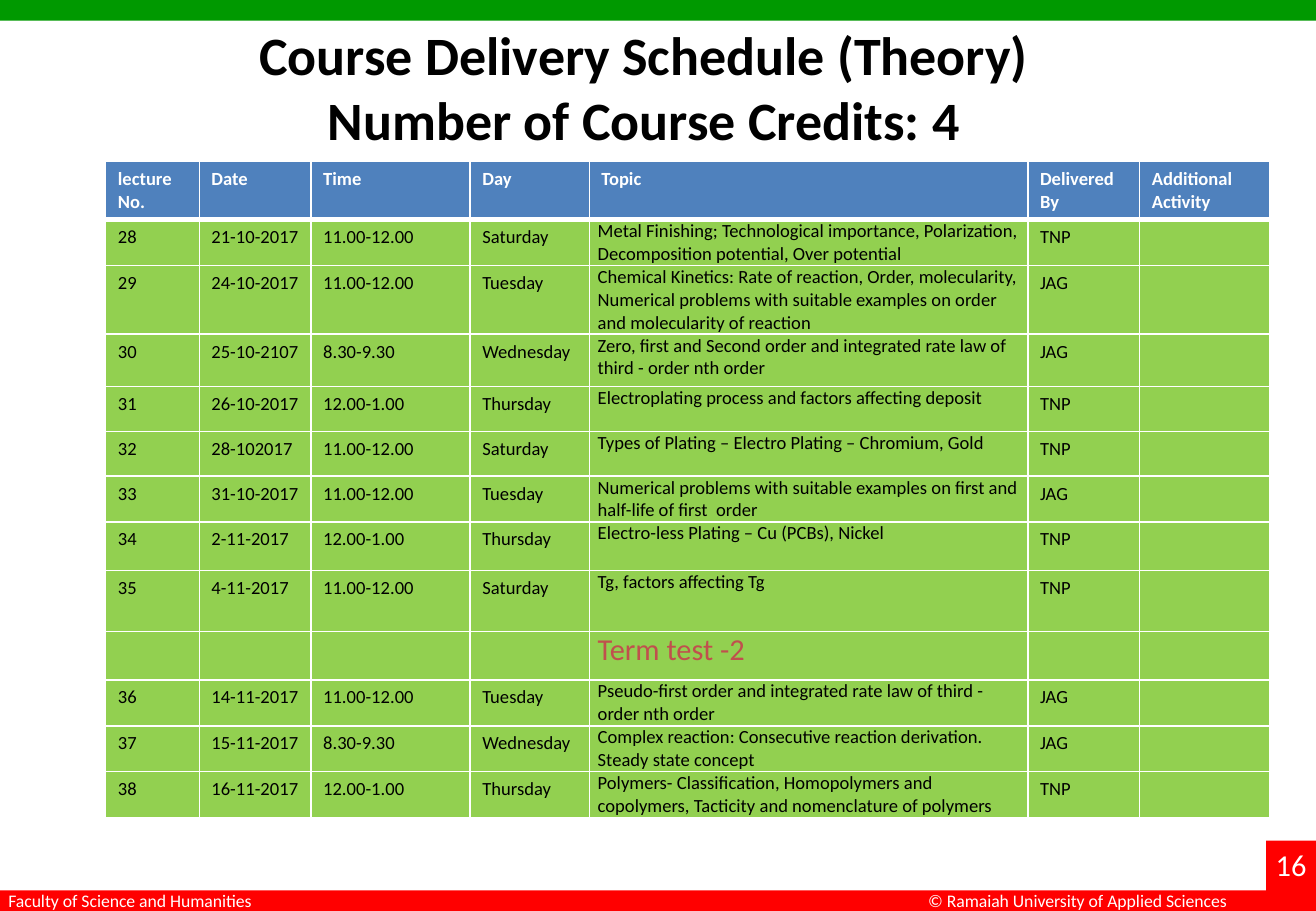
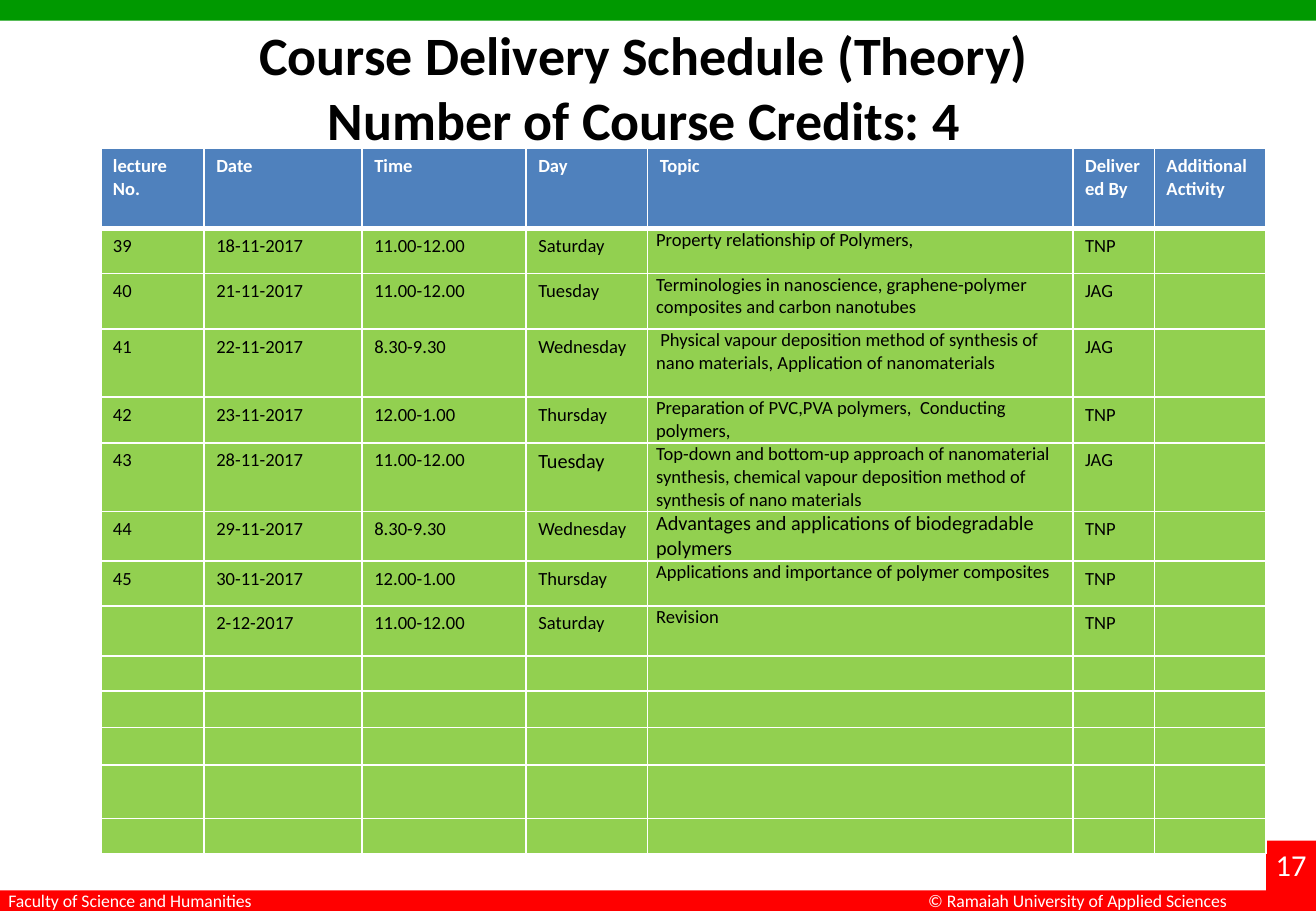
from lxml.etree import SubElement
from pptx import Presentation
from pptx.dml.color import RGBColor
from pptx.enum.shapes import MSO_SHAPE as Preset
from pptx.enum.text import MSO_ANCHOR as Anchor, MSO_AUTO_SIZE as AutoSize, PP_ALIGN as Align
from pptx.oxml.ns import qn
from pptx.util import Inches, Pt

COLORS = {
    "top_band": "009900", "footer": "FF0000", "header": "4F81BD",
    "row": "92D050", "accent": "C0504D", "light": "FFFFFF", "dark": "000000",
}
FONT = "Calibri"
SLIDE_W, SLIDE_H, BAND_H = 10.83, 7.5, 0.17
TITLE = "Course Delivery Schedule (Theory)\nNumber of Course Credits: 4"
TITLE_BOX = (1.64, 0.12, 7.32, 1.18)
HEADINGS = ("lecture No.", "Date", "Time", "Day", "Topic", "Delivered By", "Additional Activity")
TOPIC = HEADINGS.index("Topic")
TOPIC_MARGINS = {
    "margin_left": Inches(0.07), "margin_right": Inches(0.07),
    "margin_top": 0, "margin_bottom": 0,
}

SCHEDULES = [
    {
        "page": "16",
        "origin": (0.87, 1.33),
        "columns": (0.77, 0.92, 1.31, 0.98, 3.61, 0.92, 1.07),
        "heights": (0.46, 0.37, 0.55, 0.43, 0.37, 0.37, 0.37, 0.4, 0.5, 0.4, 0.37, 0.37, 0.36),
        "lectures": [
            ("28", "21-10-2017", "11.00-12.00", "Saturday",
             "Metal Finishing; Technological importance, Polarization, "
             "Decomposition potential, Over potential", "TNP"),
            ("29", "24-10-2017", "11.00-12.00", "Tuesday",
             "Chemical Kinetics: Rate of reaction, Order, molecularity, Numerical problems "
             "with suitable examples on order and molecularity of reaction", "JAG"),
            ("30", "25-10-2107", "8.30-9.30", "Wednesday",
             "Zero, first and Second order and integrated rate law of third - order nth order", "JAG"),
            ("31", "26-10-2017", "12.00-1.00", "Thursday",
             "Electroplating process and factors affecting deposit", "TNP"),
            ("32", "28-102017", "11.00-12.00", "Saturday",
             "Types of Plating – Electro Plating – Chromium, Gold", "TNP"),
            ("33", "31-10-2017", "11.00-12.00", "Tuesday",
             "Numerical problems with suitable examples on first and half-life of first  order", "JAG"),
            ("34", "2-11-2017", "12.00-1.00", "Thursday",
             "Electro-less Plating – Cu (PCBs), Nickel", "TNP"),
            ("35", "4-11-2017", "11.00-12.00", "Saturday", "Tg, factors affecting Tg", "TNP"),
            ("", "", "", "", "Term test -2", ""),
            ("36", "14-11-2017", "11.00-12.00", "Tuesday",
             "Pseudo-first order and integrated rate law of third - order nth order", "JAG"),
            ("37", "15-11-2017", "8.30-9.30", "Wednesday",
             "Complex reaction: Consecutive reaction derivation. Steady state concept", "JAG"),
            ("38", "16-11-2017", "12.00-1.00", "Thursday",
             "Polymers- Classification, Homopolymers and copolymers, "
             "Tacticity and nomenclature of polymers", "TNP"),
        ],
        "special": {(9, TOPIC): {"size": 18, "color": "accent"}},
    },
    {
        "page": "17",
        "origin": (0.83, 1.22),
        "columns": (0.85, 1.3, 1.35, 1, 3.5, 0.67, 0.92),
        "heights": (0.66, 0.37, 0.46, 0.56, 0.37, 0.55, 0.4, 0.37, 0.41, 0.29, 0.3, 0.31, 0.44, 0.29),
        "lectures": [
            ("39", "18-11-2017", "11.00-12.00", "Saturday", "Property relationship of Polymers,", "TNP"),
            ("40", "21-11-2017", "11.00-12.00", "Tuesday",
             "Terminologies in nanoscience, graphene-polymer composites and carbon nanotubes", "JAG"),
            ("41", "22-11-2017", "8.30-9.30", "Wednesday",
             " Physical vapour deposition method of synthesis of nano materials, "
             "Application of nanomaterials", "JAG"),
            ("42", "23-11-2017", "12.00-1.00", "Thursday",
             "Preparation of PVC,PVA polymers,  Conducting polymers,", "TNP"),
            ("43", "28-11-2017", "11.00-12.00", "Tuesday",
             "Top-down and bottom-up approach of nanomaterial synthesis, "
             "chemical vapour deposition method of synthesis of nano materials", "JAG"),
            ("44", "29-11-2017", "8.30-9.30", "Wednesday",
             "Advantages and applications of biodegradable polymers", "TNP"),
            ("45", "30-11-2017", "12.00-1.00", "Thursday",
             "Applications and importance of polymer composites", "TNP"),
            ("", "2-12-2017", "11.00-12.00", "Saturday", "Revision", "TNP"),
        ],
        "special": {(5, HEADINGS.index("Day")): {"size": 12}, (6, TOPIC): {"size": 12}},
    },
]


def set_all(target, values):
    """Set each named attribute of the target."""
    for name, value in values.items():
        setattr(target, name, value)


def rgb(color):
    """Return the colour with the given name."""
    return RGBColor.from_string(COLORS[color])


def write(frame, text, size, color, bold=False, align=Align.LEFT):
    """Fill a text frame with evenly formatted paragraphs."""
    frame.text = text
    for paragraph in frame.paragraphs:
        paragraph.alignment = align
        for run in paragraph.runs:
            set_all(run.font, {"name": FONT, "size": Pt(size), "bold": bold})
            run.font.color.rgb = rgb(color)
        if not paragraph.runs:
            SubElement(paragraph._p, qn("a:endParaRPr"), sz=str(size * 100))


def add_band(slide, box, color):
    """Add a plain filled rectangle."""
    band = slide.shapes.add_shape(Preset.RECTANGLE, *map(Inches, box))
    band.shadow.inherit = False
    band.fill.solid()
    band.fill.fore_color.rgb = rgb(color)
    band.line.fill.background()
    return band


def add_label(slide, box, text, size):
    """Add a white line of text."""
    label = slide.shapes.add_textbox(*map(Inches, box))
    label.text_frame.word_wrap = False
    write(label.text_frame, text, size, "light")
    return label


def add_shared_parts(slide, layout):
    """Put the bands and footer texts on the layout."""
    footer_top = SLIDE_H - BAND_H
    parts = [
        add_band(slide, (0, 0, SLIDE_W, BAND_H), "top_band"),
        add_band(slide, (0, footer_top, SLIDE_W, BAND_H), "footer"),
        add_band(slide, (10.42, 6.92, 0.42, 0.58), "footer"),
        add_label(slide, (7.54, 7.28, 2.7, 0.28), "© Ramaiah University of Applied Sciences", 10.5),
        add_label(slide, (-0.03, 7.28, 3.19, 0.28), "Faculty of Science and Humanities", 10.5),
    ]
    for part in parts:
        layout.shapes.element.append(part.element)


def set_title(slide):
    """Place and format the title."""
    title = slide.shapes.title
    set_all(title, dict(zip(("left", "top", "width", "height"), map(Inches, TITLE_BOX))))
    set_all(title.text_frame, {
        "word_wrap": True, "auto_size": AutoSize.NONE, "vertical_anchor": Anchor.MIDDLE})
    write(title.text_frame, TITLE, 32, "dark", bold=True, align=Align.CENTER)


def set_borders(cell, widths):
    """Draw white cell borders, with widths in points by side."""
    properties = cell._tc.get_or_add_tcPr()
    for side, width in widths.items():
        line = SubElement(properties, qn(f"a:ln{side}"), w=str(Pt(width)))
        SubElement(SubElement(line, qn("a:solidFill")), qn("a:srgbClr"), val=COLORS["light"])


def add_schedule(slide, schedule):
    """Add the lecture table."""
    columns, heights = schedule["columns"], schedule["heights"]
    box = (*schedule["origin"], sum(columns), sum(heights))
    table = slide.shapes.add_table(len(heights), len(columns), *map(Inches, box)).table
    table.horz_banding = False
    for column, width in zip(table.columns, columns):
        column.width = Inches(width)
    for row, height in zip(table.rows, heights):
        row.height = Inches(height)
    texts = [HEADINGS, *schedule["lectures"]]
    for r, row in enumerate(table.rows):
        heading = r == 0
        for c, cell in enumerate(row.cells):
            set_borders(cell, {"L": 1, "R": 1, "T": 3 if r == 1 else 1, "B": 3 if heading else 1})
            cell.fill.solid()
            cell.fill.fore_color.rgb = rgb("header" if heading else "row")
            if c == TOPIC and not heading:
                set_all(cell, TOPIC_MARGINS)
            text = texts[r][c] if r < len(texts) and c < len(texts[r]) else ""
            look = {"size": 11, "color": "light" if heading else "dark", "bold": heading}
            look.update(schedule["special"].get((r, c), {}))
            write(cell.text_frame, text, **look)


def main():
    """Build and save the slides."""
    deck = Presentation()
    set_all(deck, {"slide_width": Inches(SLIDE_W), "slide_height": Inches(SLIDE_H)})
    layout = deck.slide_layouts.get_by_name("Title Only")
    for position, schedule in enumerate(SCHEDULES):
        slide = deck.slides.add_slide(layout)
        if position == 0:
            add_shared_parts(slide, layout)
        set_title(slide)
        add_schedule(slide, schedule)
        add_label(slide, (10.4, 6.92, 0.5, 0.4), schedule["page"], 18)
    deck.save("out.pptx")


if __name__ == "__main__":
    main()
